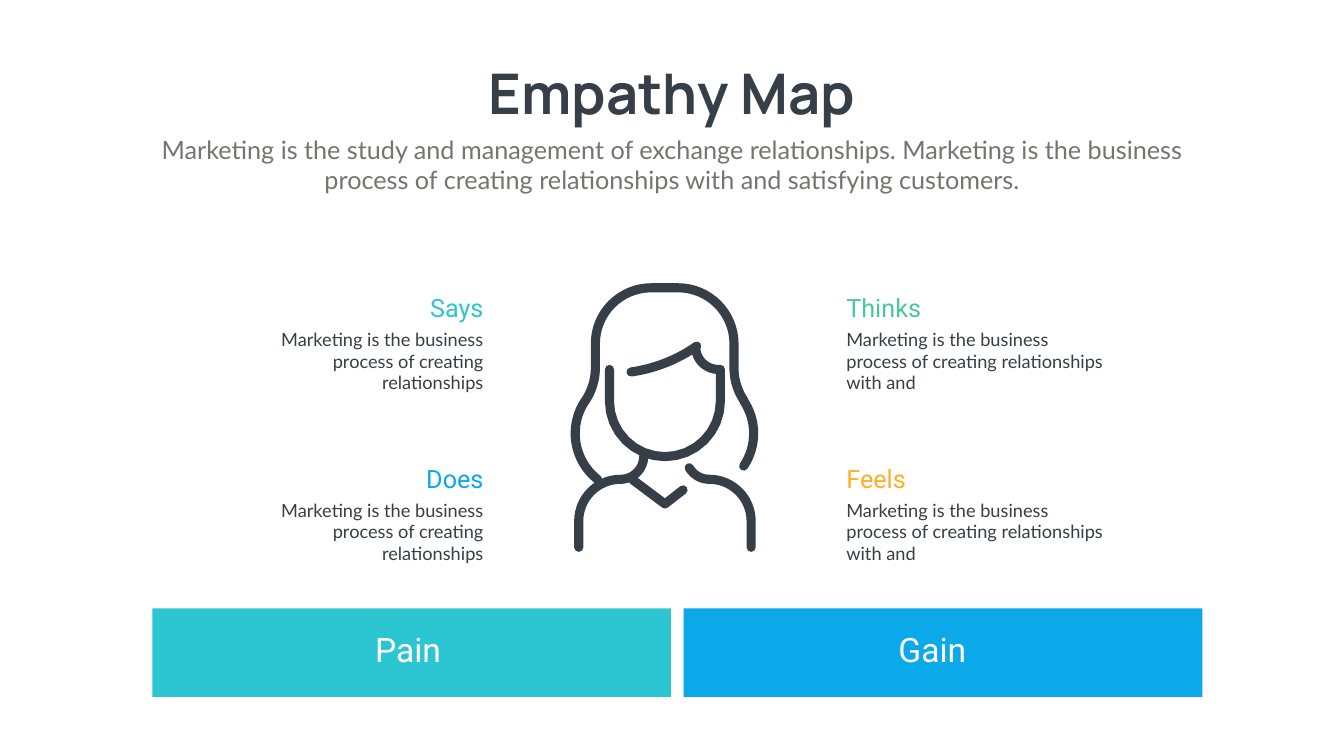
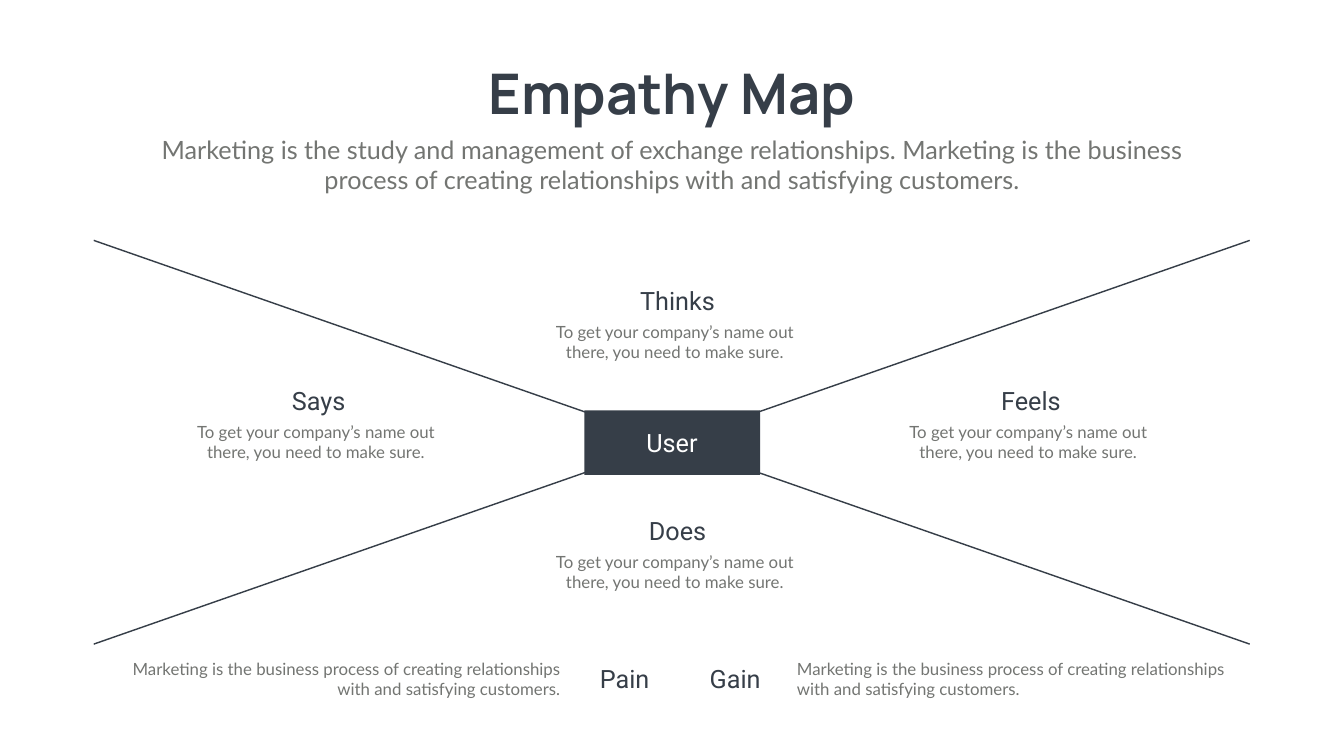
"""Build two empathy map slides."""
from math import cos, radians, sin
from lxml.etree import SubElement
from pptx import Presentation
from pptx.dml.color import RGBColor
from pptx.enum.shapes import MSO_CONNECTOR, MSO_SHAPE
from pptx.enum.text import MSO_ANCHOR, MSO_AUTO_SIZE as FIT, PP_ALIGN as ALIGN
from pptx.oxml.ns import qn
from pptx.util import Inches, Pt

WIDE, HIGH = 26.66, 15
DARK = RGBColor(0x36, 0x3E, 0x48)
GREY = RGBColor(0x73, 0x75, 0x72)
TEAL = RGBColor(0x2C, 0xC5, 0xD2)
BLUE = RGBColor(0x0B, 0xA9, 0xE9)
GREEN = RGBColor(0x4B, 0xC7, 0x9F)
GOLD = RGBColor(0xFB, 0xB1, 0x23)
WHITE = RGBColor(0xFF, 0xFF, 0xFF)
LEFT, MID, RIGHT = ALIGN.LEFT, ALIGN.CENTER, ALIGN.RIGHT
HEAD, BODY = "Roboto", "Lato"
HEAD_W, HEAD_H = 3.26, 0.71

TITLE = "Empathy Map"
INTRO = ("Marketing is the study and management of exchange relationships. "
         "Marketing is the business process of creating relationships "
         "with and satisfying customers.")
SHORT = "Marketing is the business process of creating relationships"
LONG = SHORT + " with and"
FULL = LONG + " satisfying customers."
NAME = "To get your company’s name out there, you need to make sure."

SIDES = [
    (RIGHT, 9.69, 5.26, SHORT, [("Says", TEAL), ("Does", BLUE)]),
    (LEFT, 16.69, 5.34, LONG, [("Thinks", GREEN), ("Feels", GOLD)]),
]
ROWS = [5.75, 9.14]
BARS = [("Pain", TEAL, 6.61), ("Gain", BLUE, 17.01)]
BAR_X, BAR_Y, BAR_W, BAR_H, BAR_GAP = 3.02, 12.07, 10.29, 1.76, 0.25

ZONES = [("Says", 3.56, 7.6), ("Thinks", 10.68, 5.62),
         ("Feels", 17.69, 7.6), ("Does", 10.68, 10.18)]
ENDS = [("Gain", LEFT, 13.98, 15.71), ("Pain", RIGHT, 9.72, 2.33)]
CROSS = (1.86, 4.77, 24.79, 12.78)

HAIR = [(12.57, 8.6, 1.16, 128, 214), (10.65, 7.3, 1.16, 34, 0),
        (12.92, 6.82, 1.11, 180, 270), (13.45, 6.82, 1.11, 270, 360),
        (15.72, 7.3, 1.16, 180, 146), (13.79, 8.6, 1.16, -34, 34)]
FACE = [(12.09, 7.33), (13.19, 7.96, 1.1, 180, 0), (14.29, 7.33),
        (14.25, 6.88, 0.45, 90, 180), (12.1, 4.41, 3, 55, 82)]
ARM_L = [(11.48, 10.86), (12.31, 10.34, 0.83, 180, 270),
         (12.31, 9.05, 0.46, 90, 0)]
ARM_R = [(14.9, 10.86), (14.07, 10.34, 0.83, 0, -90),
         (14.07, 9.05, 0.46, 90, 150)]
COLLAR = [(12.55, 9.52), (13.19, 10), (13.55, 9.72)]
WOMAN = [HAIR, FACE, ARM_L, ARM_R, COLLAR]


def place(*box):
    return [Inches(v) for v in box]


def write(shape, text, font, size, hue, align, bold=False, wrap=True):
    frame = shape.text_frame
    frame.word_wrap = wrap
    frame.auto_size = FIT.SHAPE_TO_FIT_TEXT
    frame.vertical_anchor = MSO_ANCHOR.TOP
    para = frame.paragraphs[0]
    para.alignment = align
    para.space_before = Pt(0)
    run = para.add_run()
    run.text = text
    run.font.name, run.font.size, run.font.bold = font, Pt(size), bold
    run.font.color.rgb = hue


def label(slide, box, *style):
    write(slide.shapes.add_textbox(*place(*box)), *style)


def block(slide, kind, box, hue):
    shape = slide.shapes.add_shape(kind, *place(*box))
    shape.shadow.inherit = False
    shape.fill.solid()
    shape.fill.fore_color.rgb = hue
    shape.line.fill.background()
    return shape


def line(slide, *ends):
    link = slide.shapes.add_connector(MSO_CONNECTOR.STRAIGHT, *place(*ends))
    link.line.color.rgb = DARK
    link.line.width = Pt(2)
    SubElement(link._element.spPr, qn("a:effectLst"))


def trace(path, steps=16):
    dots = []
    for part in path:
        if len(part) == 2:
            dots.append(part)
            continue
        x, y, r, a, b = part
        for i in range(steps + 1):
            turn = radians(a + (b - a) * i / steps)
            dots.append((x + r * cos(turn), y + r * sin(turn)))
    return [place(*dot) for dot in dots]


def draw(slide, paths, hue):
    pen = None
    for path in paths:
        first, *rest = trace(path)
        if pen is None:
            pen = slide.shapes.build_freeform(*first, scale=1.0)
        else:
            pen.move_to(*first)
        pen.add_line_segments(rest, close=False)
    shape = pen.convert_to_shape()
    shape.shadow.inherit = False
    shape.fill.background()
    shape.line.color.rgb = hue
    shape.line.width = Pt(13)
    edge = shape._element.spPr.find(qn("a:ln"))
    edge.set("cap", "rnd")
    SubElement(edge, qn("a:round"))


def start(deck):
    slide = deck.slides.add_slide(deck.slide_layouts[0])
    title, intro = slide.placeholders
    boxes = [(title, (9.21, 1.12, 8.24, 1.45)),
             (intro, (2.92, 2.61, 20.82, 1.31))]
    for shape, box in boxes:
        shape.left, shape.top, shape.width, shape.height = place(*box)
    write(title, TITLE, "Manrope", 80, DARK, MID, True, False)
    write(intro, INTRO, BODY, 36, GREY, MID)
    return slide


def portrait(deck):
    slide = start(deck)
    for align, edge, width, text, heads in SIDES:
        back = align == RIGHT
        for (head, hue), y in zip(heads, ROWS):
            label(slide, (edge - back * width, y + HEAD_H, width, 0.98),
                  text, BODY, 26, DARK, align)
            label(slide, (edge - back * HEAD_W, y, HEAD_W, HEAD_H),
                  head, HEAD, 36, hue, align)
    for i, (text, hue, x) in enumerate(BARS):
        left = BAR_X + i * (BAR_W + BAR_GAP)
        block(slide, MSO_SHAPE.RECTANGLE, (left, BAR_Y, BAR_W, BAR_H), hue)
        label(slide, (x, 12.43, 2.97, 0.91), text, HEAD, 48, WHITE, MID)
    draw(slide, WOMAN, DARK)


def cross(deck):
    slide = start(deck)
    for head, x, y in ZONES:
        label(slide, (x, y + HEAD_H, 5.41, 0.91), NAME, BODY, 24, GREY, MID)
        label(slide, (x + 1.13, y, HEAD_W, HEAD_H), head, HEAD, 36, DARK, MID)
    for head, align, x, far in ENDS:
        label(slide, (x, 13.11, HEAD_W, HEAD_H), head, HEAD, 36, DARK, align)
        label(slide, (far, 13.02, 8.88, 0.91), FULL, BODY, 24, GREY, align)
    x1, y1, x2, y2 = CROSS
    line(slide, x1, y2, x2, y1)
    line(slide, x2, y2, x1, y1)
    user = block(slide, MSO_SHAPE.ROUNDED_RECTANGLE,
                 (11.59, 8.14, 3.49, 1.28), DARK)
    user.adjustments[0] = 0
    label(slide, (11.58, 8.43, 3.5, HEAD_H), "User", HEAD, 36, WHITE, MID)


def main():
    deck = Presentation()
    deck.slide_width, deck.slide_height = place(WIDE, HIGH)
    portrait(deck)
    cross(deck)
    deck.save("out.pptx")


if __name__ == "__main__":
    main()
